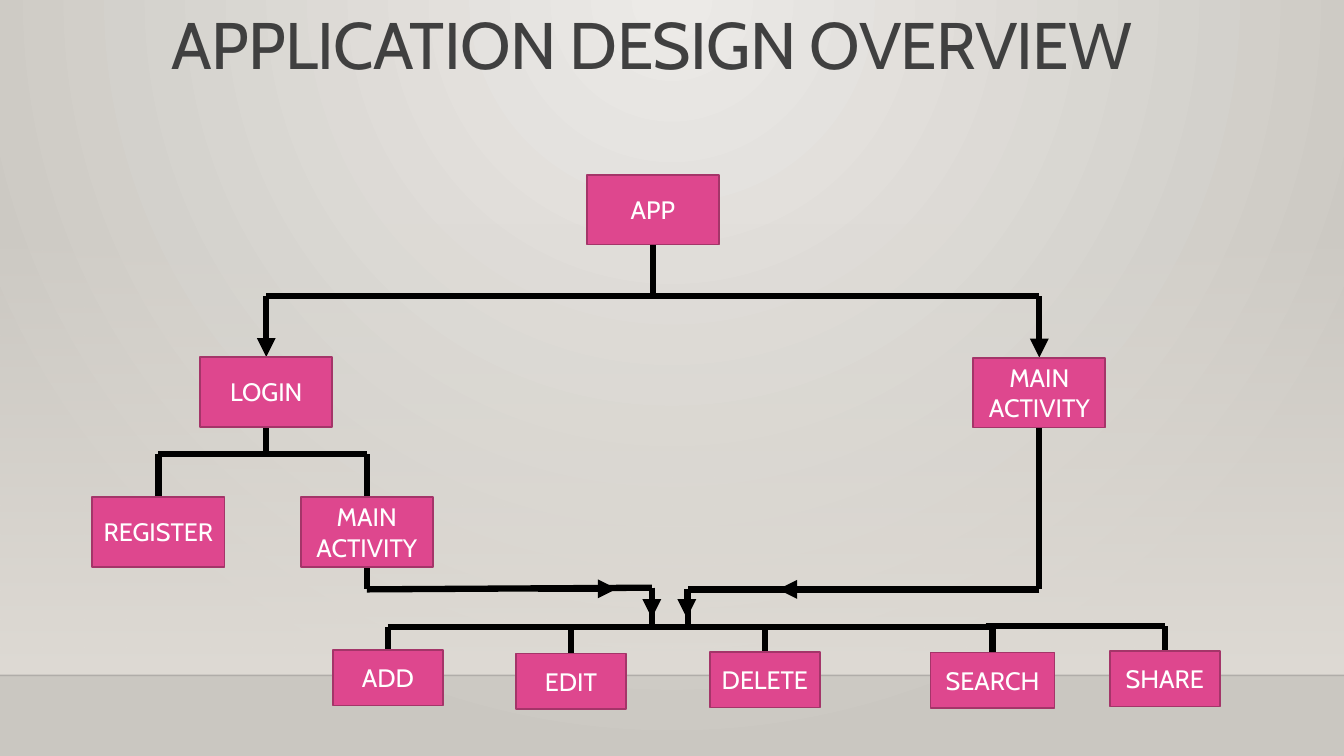
from itertools import pairwise
from lxml.etree import SubElement as Sub
from pptx import Presentation
from pptx.dml.color import RGBColor as RGB
from pptx.enum.shapes import MSO_CONNECTOR as Conn, MSO_SHAPE as Kind
from pptx.enum.text import MSO_ANCHOR as Anchor, PP_ALIGN as Align
from pptx.oxml.ns import qn
from pptx.util import Pt

WIDE, HIGH, FLOOR = 960, 540, 482.4
FONT = "Cabin"
COLORS = {"glow": "ECEAE7", "edge": "CAC7C1", "wall": "DFDBD5", "seam": "000001",
          "title": "404040", "box": "DE478E", "rim": "A43569", "label": "FFFFFF",
          "wire": "000000"}
TITLE = "APPLICATION DESIGN OVERVIEW"

BIG, SMALL, MID = (94.4, 49.8), (78.6, 39.6), (88.6, 39.6)
BOXES = [
    ("APP", 466.4, 124.8, BIG),
    ("LOGIN", 190.2, 255, BIG),
    ("MAIN ACTIVITY", 742.4, 255.6, BIG),
    ("REGISTER", 113.2, 355, BIG),
    ("MAIN ACTIVITY", 262, 355, BIG),
    ("ADD", 277, 464.4, SMALL),
    ("EDIT", 407.9, 466.8, SMALL),
    ("DELETE", 546.3, 465.8, SMALL),
    ("SEARCH", 709, 466, MID),
    ("SHARE", 832, 465, SMALL),
]

APP, LOGIN, MAIN, REG, SUB, ADD, EDIT, DEL, FIND, SHARE = [box[1] for box in BOXES]
TOP, FORK, JOIN, BUS = 211.6, 324.2, 421, 448
LEFT, RIGHT = 465.6, 491.2
WIRES = [
    [(APP, 174.4), (APP, TOP)],
    [(LOGIN, TOP), (MAIN, TOP)],
    [(LOGIN, 305.4), (LOGIN, FORK)],
    [(REG, 355), (REG, FORK), (SUB, FORK), (SUB, 355)],
    [(SUB, 404.8), (SUB, JOIN), (LEFT, 419.8), (LEFT, BUS)],
    [(MAIN, 304.8), (MAIN, JOIN), (RIGHT, JOIN), (RIGHT, BUS)],
    [(ADD, 465), (ADD, BUS), (FIND, BUS), (FIND, 466)],
    [(EDIT, BUS), (EDIT, 466.8)],
    [(DEL, BUS), (DEL, 466)],
    [(FIND - 5, 447.2), (SHARE, 447.2), (SHARE, 465)],
]
ARROWS = [
    [(LOGIN, TOP), (LOGIN, 255)],
    [(MAIN, TOP), (MAIN, 255.4)],
    [(384.5, 420.6), (440.6, 420.6)],
    [(657.4, JOIN), (555.8, JOIN)],
    [(LEFT, 419.8), (LEFT, 441.4)],
    [(RIGHT - 0.6, JOIN), (RIGHT - 0.6, 441.4)],
]


def tint(name):
    return RGB.from_string(COLORS[name])


def blend(fill, *names):
    fill.gradient()
    for stop, name in zip(fill.gradient_stops, names):
        stop.color.rgb = tint(name)


def fade(node, alpha):
    Sub(next(node.iter(qn("a:srgbClr"))), qn("a:alpha"), val=str(alpha * 1000))


def write(shape, text, size=18, color="label", anchor=Anchor.MIDDLE, pad=3.6,
          lead=None, track=None):
    frame = shape.text_frame
    frame.word_wrap = True
    frame.vertical_anchor = anchor
    frame.margin_left = frame.margin_right = Pt(pad)
    para = frame.paragraphs[0]
    para.alignment = Align.CENTER
    if lead:
        para.line_spacing = lead
    run = para.add_run()
    run.text = text
    run.font.name, run.font.size = FONT, Pt(size)
    run.font.color.rgb = tint(color)
    if track:
        run.font._element.set("spc", str(track))


def rect(shapes, left, top, width, height):
    shape = shapes.add_shape(Kind.RECTANGLE, Pt(left), Pt(top), Pt(width), Pt(height))
    shape.shadow.inherit = False
    return shape


def wire(shapes, start, end, color="wire", width=4.5, head=False):
    line = shapes.add_connector(Conn.STRAIGHT, *map(Pt, start + end))
    line.line.color.rgb = tint(color)
    line.line.width = Pt(width)
    props = line._element.spPr
    if head:
        Sub(props.find(qn("a:ln")), qn("a:tailEnd"), type="triangle")
    Sub(props, qn("a:effectLst"))
    return line


def scene(slide):
    blend(slide.background.fill, "glow", "edge")
    grad = next(slide._element.iter(qn("a:gradFill")))
    grad.remove(grad.find(qn("a:lin")))
    path = Sub(grad, qn("a:path"), path="circle")
    Sub(path, qn("a:fillToRect"), l="43000", t="0", r="43000", b="100000")

    wall = rect(slide.shapes, 0, 159.2, WIDE, FLOOR - 159.2)
    blend(wall.fill, "wall", "wall")
    wall.fill.gradient_angle = 270
    wall.line.fill.background()
    fade(wall._element.spPr, 0)
    seam = wire(slide.shapes, (0, FLOOR), (WIDE, FLOOR), "seam", 1)
    fade(seam._element.spPr, 20)


def main():
    deck = Presentation()
    deck.slide_width, deck.slide_height = Pt(WIDE), Pt(HIGH)
    slide = deck.slides.add_slide(deck.slide_layouts[6])
    shapes = slide.shapes
    scene(slide)
    title = shapes.add_textbox(Pt(69.8), Pt(5.8), Pt(792), Pt(114.5))
    write(title, TITLE, size=47, color="title", anchor=Anchor.TOP, pad=7.2,
          lead=0.9, track=-50)
    for route in WIRES:
        for start, end in pairwise(route):
            wire(shapes, start, end)
    for start, end in ARROWS:
        wire(shapes, start, end, head=True)
    for text, mid, top, (width, height) in BOXES:
        box = rect(shapes, mid - width / 2, top, width, height)
        box.fill.solid()
        box.fill.fore_color.rgb = tint("box")
        box.line.color.rgb = tint("rim")
        box.line.width = Pt(1.25)
        write(box, text)
    deck.save("out.pptx")


if __name__ == "__main__":
    main()
